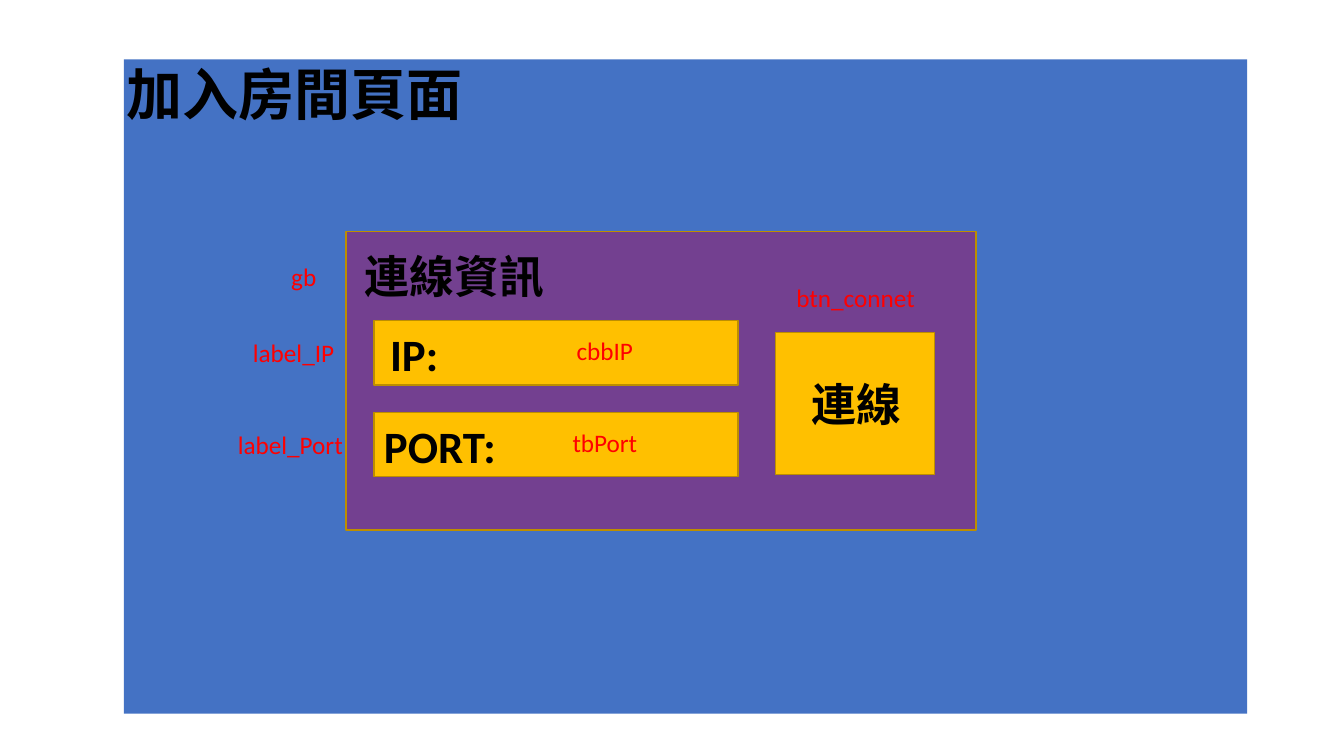
from pptx import Presentation
from pptx.dml.color import RGBColor
from pptx.enum.shapes import MSO_SHAPE
from pptx.enum.text import MSO_AUTO_SIZE
from pptx.util import Inches, Pt

RECT = MSO_SHAPE.RECTANGLE
GROW = MSO_AUTO_SIZE.SHAPE_TO_FIT_TEXT
BLUE = RGBColor(0x44, 0x72, 0xC4)
PURPLE = RGBColor(0x73, 0x40, 0x90)
GOLD = RGBColor(0xFF, 0xC0, 0x00)
EDGE = RGBColor(0xBD, 0x8E, 0x00)
BLACK = RGBColor(0, 0, 0)
RED = RGBColor(0xFF, 0, 0)

# Text styles: font values, colour, box height
TITLE = ({"size": Pt(40), "bold": True}, BLACK, 0.77)
LABEL = ({"size": Pt(32), "bold": True}, BLACK, 0.64)
NOTE = ({"size": Pt(18), "bold": False}, RED, 0.4)


class Page:
    font = "Calibri"

    def __init__(self, slide):
        self.slide = slide

    def box(self, x, y, w, h, fill, edge=None):
        shape = self.slide.shapes.add_shape(
            RECT, Inches(x), Inches(y), Inches(w), Inches(h))
        shape.shadow.inherit = False
        shape.fill.solid()
        shape.fill.fore_color.rgb = fill
        if edge is None:
            shape.line.fill.background()
        else:
            shape.line.color.rgb = edge
            shape.line.width = Pt(1)

    def text(self, words, x, y, w, style):
        values, color, h = style
        frame = self.slide.shapes.add_textbox(
            Inches(x), Inches(y), Inches(w), Inches(h)).text_frame
        frame.word_wrap = False
        frame.auto_size = GROW
        run = frame.paragraphs[0].add_run()
        run.text = words
        for key, value in {"name": self.font, **values}.items():
            setattr(run.font, key, value)
        run.font.color.rgb = color


deck = Presentation()
deck.slide_width, deck.slide_height = Inches(13.33), Inches(7.5)
page = Page(deck.slides.add_slide(deck.slide_layouts[6]))

# Window and its title
page.box(1.23, 0.59, 11.14, 6.49, BLUE)
page.text("加入房間頁面", 1.16, 0.54, 3.57, TITLE)

# Connection group
page.box(3.43, 2.3, 6.25, 2.96, PURPLE, EDGE)
page.text("連線資訊", 3.52, 2.42, 2, LABEL)
page.text("gb", 2.79, 2.54, 0.45, NOTE)

# Input rows: label, field name and label name, each with left and width
rows = [
    (("IP:", 3.77, 0.68), ("cbbIP", 5.62, 0.77), ("label_IP", 2.41, 1.02)),
    (("PORT:", 3.71, 1.32), ("tbPort", 5.58, 0.85), ("label_Port", 2.26, 1.25)),
]
for i, row in enumerate(rows):
    top = 3.18 + 0.91 * i
    page.box(3.71, top, 3.61, 0.64, GOLD, EDGE)
    for (words, x, w), drop, style in zip(
            row, (0.01, 0.1, 0.12), (LABEL, NOTE, NOTE)):
        page.text(words, x, top + drop, w, style)

# Connect button
page.box(7.69, 3.3, 1.58, 1.41, GOLD, EDGE)
page.text("連線", 7.95, 3.69, 1.1, LABEL)
page.text("btn_connet", 7.8, 2.75, 1.39, NOTE)

deck.save("out.pptx")
